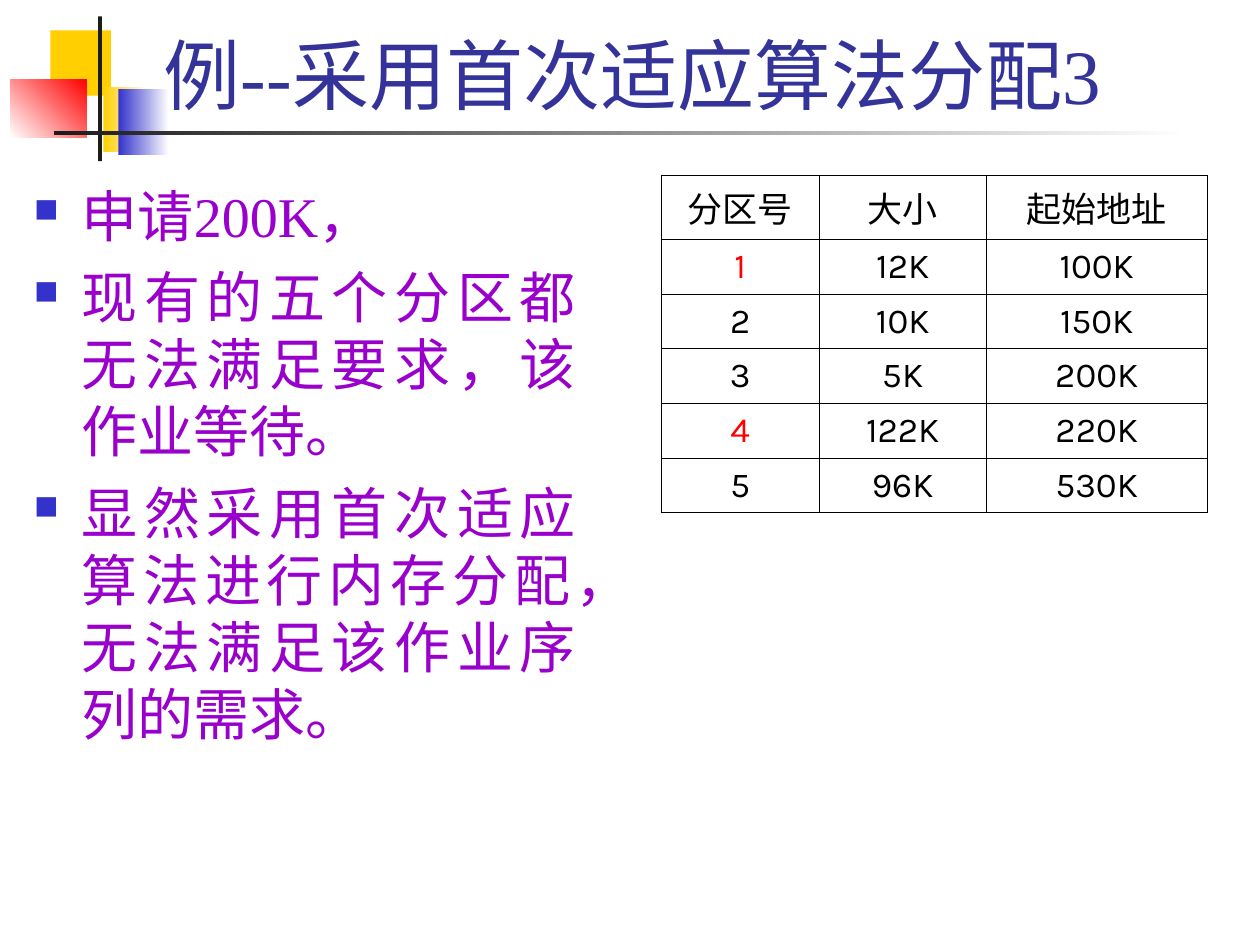
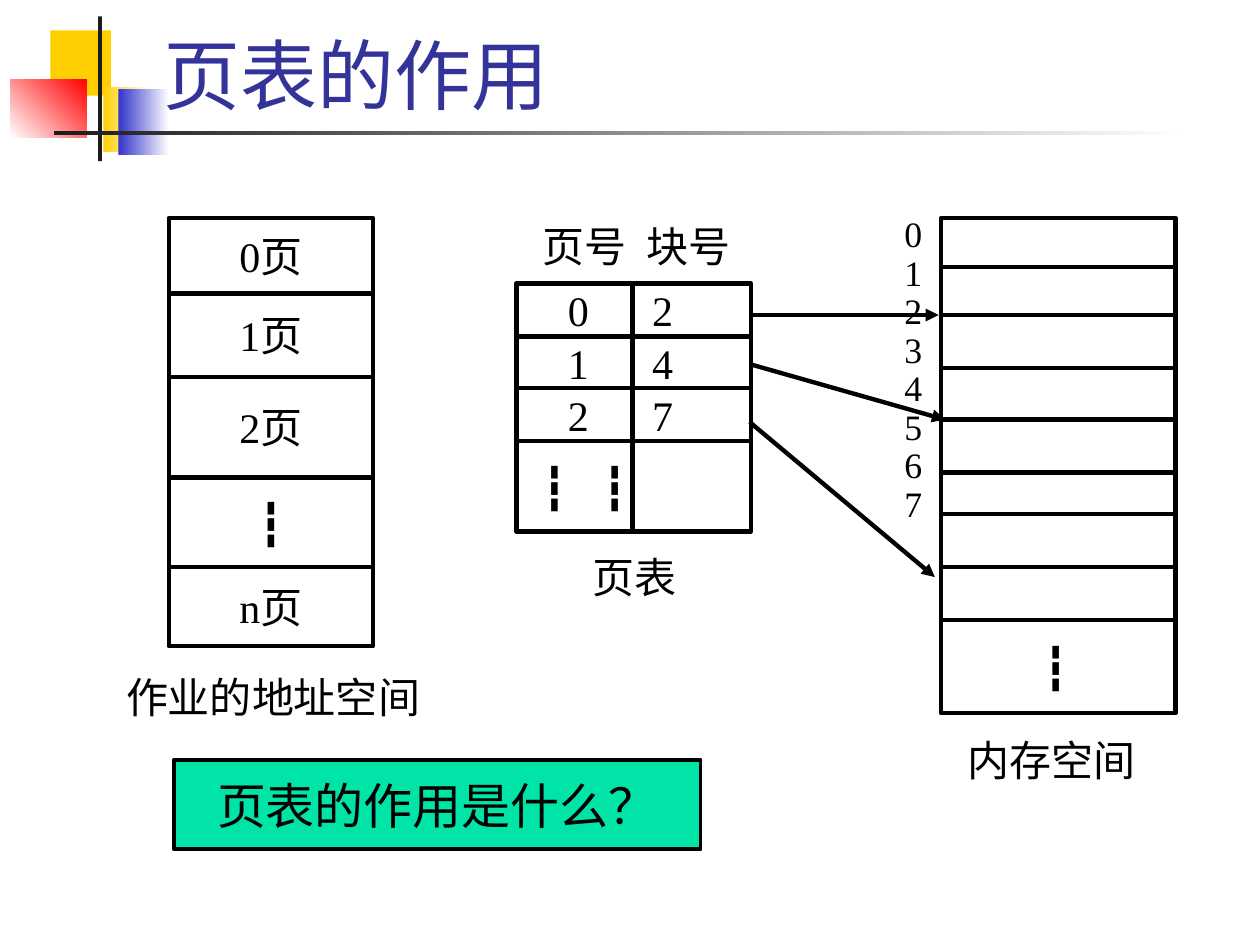
from dataclasses import dataclass
from itertools import pairwise

from lxml import etree
from pptx import Presentation
from pptx.dml.color import RGBColor
from pptx.enum.shapes import MSO_CONNECTOR, MSO_SHAPE
from pptx.enum.text import MSO_ANCHOR, MSO_AUTO_SIZE, PP_ALIGN
from pptx.oxml.ns import qn
from pptx.util import Inches, Pt

RECTANGLE = MSO_SHAPE.RECTANGLE
STRAIGHT = MSO_CONNECTOR.STRAIGHT
TOP, MIDDLE, BOTTOM = MSO_ANCHOR.TOP, MSO_ANCHOR.MIDDLE, MSO_ANCHOR.BOTTOM
LEFT, CENTER, JUSTIFY = PP_ALIGN.LEFT, PP_ALIGN.CENTER, PP_ALIGN.JUSTIFY
NO_AUTOFIT = MSO_AUTO_SIZE.NONE


@dataclass(frozen=True)
class Theme:
    serif: str = "Times New Roman"
    sans: str = "Karla"
    chinese: str = "Noto Sans CJK SC"
    title: str = "333399"
    body: str = "9900CC"
    bullet: str = "3333CC"
    ink: str = "000000"
    paper: str = "FFFFFF"
    bar: str = "1C1C1C"
    yellow: str = "FFCF01"
    red: str = "FF0000"
    question: str = "00E4A8"
    title_size: float = 44
    body_size: float = 32
    question_size: float = 28
    label_size: float = 24
    block_size: float = 20.4
    table_size: float = 20
    line: float = 2.5
    question_line: float = 2.25
    grid_line: float = 0.45


THEME = Theme()

ORNAMENTS = [
    ((0.4, 0.24, 0.48, 0.52), (THEME.yellow,), 0),
    ((0.82, 0.69, 0.36, 0.52), (THEME.yellow, THEME.paper), 0),
    ((0.94, 0.71, 0.4, 0.52), (THEME.bullet, THEME.paper), 0),
    ((0.08, 0.63, 0.61, 0.46), (THEME.paper, THEME.red), 45),
    ((0.78, 0.13, 0.03, 1.15), (THEME.bar,), 0),
    ((0.43, 1.04, 9, 0.03), (THEME.bar, THEME.paper), 0),
]

ALLOCATION_NOTES = [
    "申请200K，",
    "现有的五个分区都无法满足要求，该作业等待。",
    "显然采用首次适应算法进行内存分配，无法满足该作业序列的需求。",
]

PARTITIONS = [
    ("分区号", "大小", "起始地址"),
    ("1", "12K", "100K"),
    ("2", "10K", "150K"),
    ("3", "5K", "200K"),
    ("4", "122K", "220K"),
    ("5", "96K", "530K"),
]
CHANGED_PARTITIONS = {"1", "4"}


def rgb(color):
    return RGBColor.from_string(color)


def inches(values):
    return [Inches(value) for value in values]


def write(paragraph, text, size, color=THEME.ink, font=THEME.serif, align=LEFT):
    paragraph.alignment = align
    run = paragraph.add_run()
    run.text = text
    run.font.size = Pt(size)
    run.font.color.rgb = rgb(color)
    run.font.name = font
    etree.SubElement(run.font._element, qn("a:ea"), typeface=THEME.chinese)


def add_box(slide, bounds, colors, angle=0, line=None):
    box = slide.shapes.add_shape(RECTANGLE, *inches(bounds))
    box.shadow.inherit = False
    if len(colors) == 1:
        box.fill.solid()
        box.fill.fore_color.rgb = rgb(colors[0])
    else:
        box.fill.gradient()
        box.fill.gradient_angle = angle
        for stop, color in zip(box.fill.gradient_stops, colors):
            stop.color.rgb = rgb(color)
    if line:
        box.line.color.rgb = rgb(THEME.ink)
        box.line.width = Pt(line)
    else:
        box.line.fill.background()
    return box


def add_text_frame(slide, bounds, inset=True, anchor=TOP):
    frame = slide.shapes.add_textbox(*inches(bounds)).text_frame
    frame.word_wrap = True
    frame.vertical_anchor = anchor
    if not inset:
        frame.margin_left = frame.margin_right = 0
        frame.margin_top = frame.margin_bottom = 0
    return frame


def add_caption(slide, text, left, top, width):
    frame = add_text_frame(slide, (left, top, width, 0.42), inset=False)
    write(frame.paragraphs[0], text, THEME.label_size)


def add_row_label(slide, text, center, top, bottom):
    bounds = (center - 0.5, top, 1, bottom - top)
    frame = add_text_frame(slide, bounds, inset=False, anchor=MIDDLE)
    write(frame.paragraphs[0], text, THEME.label_size, align=CENTER)


def add_line(slide, start, end, arrow=False):
    line = slide.shapes.add_connector(STRAIGHT, *inches(start + end))
    line.line.color.rgb = rgb(THEME.ink)
    line.line.width = Pt(THEME.line)
    if arrow:
        etree.SubElement(line.line._get_or_add_ln(), qn("a:tailEnd"), type="triangle")
    etree.SubElement(line.element.spPr, qn("a:effectLst"))


def add_stack(slide, left, width, edges):
    top, bottom = edges[0], edges[-1]
    add_box(slide, (left, top, width, bottom - top), [THEME.paper], line=THEME.line)
    for y in edges[1:-1]:
        add_line(slide, (left, y), (left + width, y))
    return list(pairwise(edges))


def add_bullet(paragraph):
    properties = paragraph._p.get_or_add_pPr()
    properties.set("marL", str(Inches(0.38)))
    properties.set("indent", str(Inches(-0.38)))
    color = etree.SubElement(properties, qn("a:buClr"))
    etree.SubElement(color, qn("a:srgbClr"), val=THEME.bullet)
    etree.SubElement(properties, qn("a:buSzPct"), val="60000")
    etree.SubElement(properties, qn("a:buChar"), char="■")


def add_bullets(slide, bounds, items):
    frame = add_text_frame(slide, bounds)
    for index, item in enumerate(items):
        paragraph = frame.add_paragraph() if index else frame.paragraphs[0]
        add_bullet(paragraph)
        if index:
            paragraph.space_before = Pt(8)
        write(paragraph, item, THEME.body_size, THEME.body, align=JUSTIFY)


def add_cell_borders(cell):
    properties = cell._tc.get_or_add_tcPr()
    for index, side in enumerate(("lnL", "lnR", "lnT", "lnB")):
        border = etree.Element(qn(f"a:{side}"), w=str(Pt(THEME.grid_line)))
        fill = etree.SubElement(border, qn("a:solidFill"))
        etree.SubElement(fill, qn("a:srgbClr"), val=THEME.ink)
        properties.insert(index, border)


def add_partition_table(slide, left, top):
    widths = (1.25, 1.33, 1.75)
    heights = [0.51] + [0.43] * (len(PARTITIONS) - 1)
    bounds = inches((left, top, sum(widths), sum(heights)))
    table = slide.shapes.add_table(len(heights), len(widths), *bounds).table
    table.first_row = table.horz_banding = False
    for column, width in zip(table.columns, widths):
        column.width = Inches(width)
    for row, height, values in zip(table.rows, heights, PARTITIONS):
        row.height = Inches(height)
        for cell, value in zip(row.cells, values):
            cell.fill.background()
            cell.vertical_anchor = MIDDLE
            color = THEME.red if value in CHANGED_PARTITIONS else THEME.ink
            write(cell.text_frame.paragraphs[0], value, THEME.table_size,
                  color, THEME.sans, CENTER)
            add_cell_borders(cell)


def add_titled_slide(deck, title, font=THEME.serif):
    slide = deck.slides.add_slide(deck.slide_layouts[5])
    heading = slide.shapes.title
    heading.left, heading.top, heading.width, heading.height = inches((1.2, 0.17, 8.52, 0.83))
    frame = heading.text_frame
    frame.vertical_anchor = BOTTOM
    frame.auto_size = NO_AUTOFIT
    write(frame.paragraphs[0], title, THEME.title_size, THEME.title, font)
    return slide


def move_ornaments_to_layout(slide):
    for bounds, colors, angle in ORNAMENTS:
        ornament = add_box(slide, bounds, colors, angle)
        slide.slide_layout.shapes.element.append(ornament.element)


def add_job_space(slide):
    rows = add_stack(slide, 1.34, 1.62, (1.73, 2.33, 2.99, 3.79, 4.5, 5.13))
    for page, (top, bottom) in zip(("0页", "1页", "2页", "┇", "n页"), rows):
        add_row_label(slide, page, 2.15, top, bottom)
    add_caption(slide, "作业的地址空间", 1, 5.33, 2.42)


def add_page_table(slide):
    rows = add_stack(slide, 4.1, 1.86, (2.25, 2.67, 3.08, 3.5, 4.22))
    add_line(slide, (5.02, 2.25), (5.02, 4.24))
    for (page, block), (top, bottom) in zip(("02", "14", "27"), rows):
        add_row_label(slide, page, 4.59, top, bottom)
        add_row_label(slide, block, 5.26, top, bottom)
    for center in (4.4, 4.88):
        add_row_label(slide, "┇", center, *rows[-1])
    add_caption(slide, "页号", 4.31, 1.75, 0.8)
    add_caption(slide, "块号", 5.13, 1.75, 0.8)
    add_caption(slide, "页表", 4.7, 4.38, 0.87)


def add_memory(slide):
    edges = (1.73, 2.12, 2.5, 2.92, 3.33, 3.75, 4.08, 4.5, 4.92, 5.66)
    rows = add_stack(slide, 7.47, 1.86, edges)
    add_row_label(slide, "┇", 8.38, *rows[-1])
    add_caption(slide, "内存空间", 7.68, 5.83, 1.41)
    frame = add_text_frame(slide, (7.08, 1.67, 0.5, 3.01))
    for block in range(8):
        paragraph = frame.add_paragraph() if block else frame.paragraphs[0]
        paragraph.line_spacing = Pt(22)
        write(paragraph, str(block), THEME.block_size)


def add_question(slide, text):
    box = add_box(slide, (1.38, 6.03, 4.18, 0.71), [THEME.question],
                  line=THEME.question_line)
    frame = box.text_frame
    frame.word_wrap = False
    frame.vertical_anchor = MIDDLE
    write(frame.paragraphs[0], text, THEME.question_size, font=THEME.sans, align=CENTER)


def build_allocation_slide(deck):
    slide = add_titled_slide(deck, "例--采用首次适应算法分配3")
    move_ornaments_to_layout(slide)
    add_bullets(slide, (0.17, 1.39, 4.5, 4.96), ALLOCATION_NOTES)
    add_partition_table(slide, 5.25, 1.39)


def build_page_table_slide(deck):
    slide = add_titled_slide(deck, "页表的作用", THEME.sans)
    add_job_space(slide)
    add_page_table(slide)
    add_memory(slide)
    mappings = [
        ((5.95, 2.5), (7.45, 2.5)),
        ((5.95, 2.89), (7.5, 3.33)),
        ((5.95, 3.35), (7.42, 4.58)),
    ]
    for entry, block in mappings:
        add_line(slide, entry, block, arrow=True)
    add_question(slide, "页表的作用是什么？")


def main():
    deck = Presentation()
    deck.slide_width, deck.slide_height = inches((10, 7.5))
    build_allocation_slide(deck)
    build_page_table_slide(deck)
    deck.save("out.pptx")


if __name__ == "__main__":
    main()
